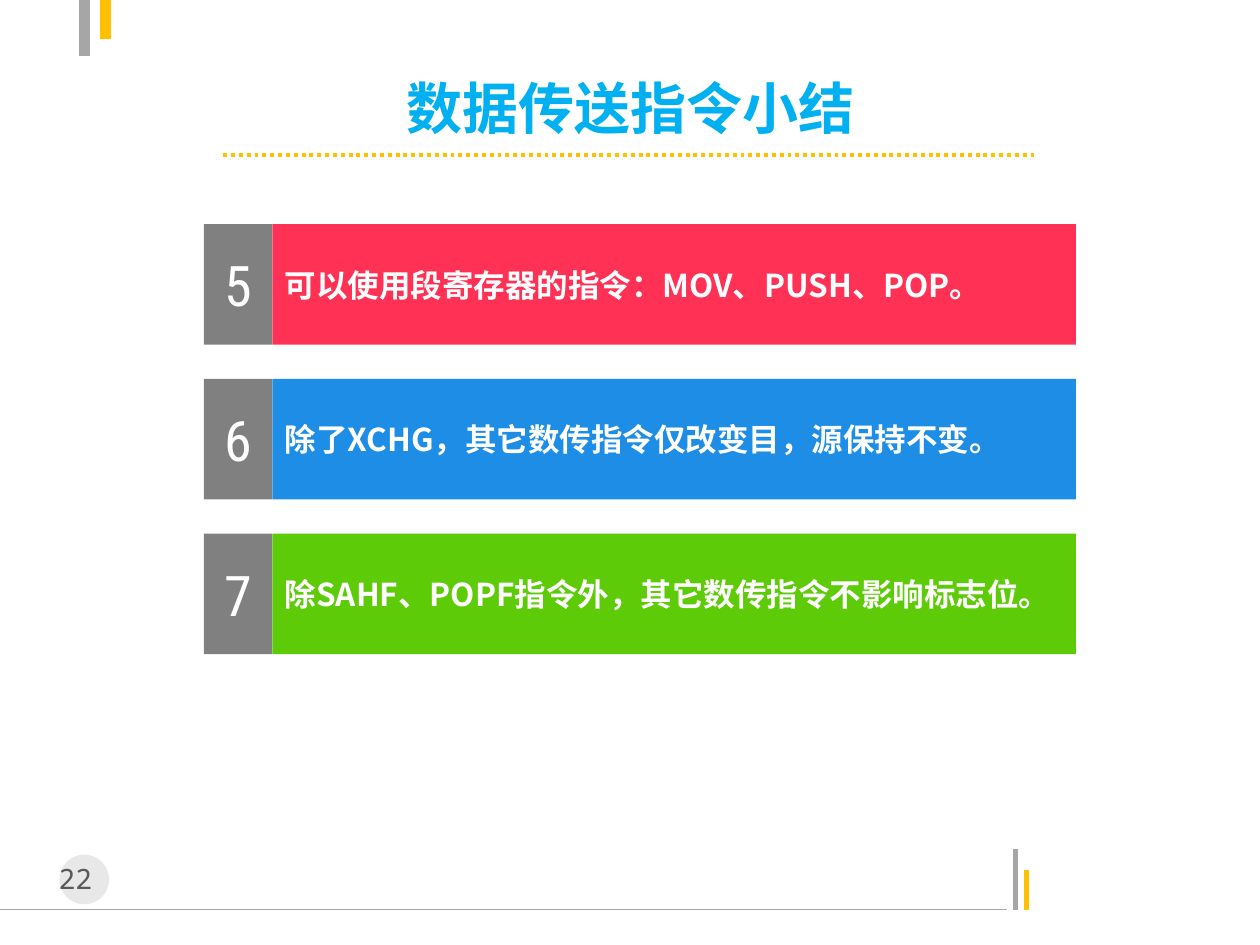
"""Build the summary slide on data transfer instructions."""
from lxml.etree import SubElement as Sub
from pptx import Presentation
from pptx.dml.color import RGBColor
from pptx.enum.dml import MSO_LINE
from pptx.enum.shapes import MSO_CONNECTOR, MSO_SHAPE
from pptx.enum.text import MSO_ANCHOR, PP_ALIGN
from pptx.oxml.ns import qn
from pptx.util import Cm, Pt

WHITE = RGBColor(0xFF, 0xFF, 0xFF)
GRAY = RGBColor(0x80, 0x80, 0x80)
SILVER = RGBColor(0xA6, 0xA6, 0xA6)
PALE = RGBColor(0xBF, 0xBF, 0xBF)
DARK = RGBColor(0x59, 0x59, 0x59)
GOLD = RGBColor(0xFF, 0xC0, 0x00)
SKY = RGBColor(0x00, 0xB0, 0xF0)
RED = RGBColor(0xFF, 0x32, 0x55)
BLUE = RGBColor(0x1D, 0x8D, 0xE5)
GREEN = RGBColor(0x5D, 0xCB, 0x08)

SANS = "Noto Sans CJK SC"
MONO = "Noto Sans Mono"
THIN = "Roboto Condensed"

RULES = [
    (0, 18.34, 20.29, 18.34, SILVER, 0.75),
    (20.47, 18.34, 20.47, 17.12, SILVER, 3),
    (20.7, 18.34, 20.7, 17.53, GOLD, 3),
    (1.7, 1.12, 1.7, -0.08, SILVER, 6),
    (2.13, 0, 2.13, 0.79, GOLD, 6),
]
ROWS = [
    ("5", "可以使用段寄存器的指令：MOV、PUSH、POP。", RED),
    ("6", "除了XCHG，其它数传指令仅改变目，源保持不变。", BLUE),
    ("7", "除SAHF、POPF指令外，其它数传指令不影响标志位。", GREEN),
]
TOP, PITCH, HIGH = 4.52, 3.12, 2.43
LEFT, TAB, WIDE = 4.11, 1.38, 16.2


class Deck:
    """Hold the style and the current slide."""

    def __init__(self):
        self.prs = Presentation()
        self.prs.slide_width, self.prs.slide_height = Cm(25.4), Cm(19.05)
        self.slide = self.prs.slides.add_slide(self.prs.slide_layouts[5])
        self.shapes = self.slide.shapes

    def style(self, shape, text, size, face, color, bold=False,
              align=PP_ALIGN.CENTER, anchor=MSO_ANCHOR.MIDDLE, wrap=True):
        """Set and format one line of text."""
        frame = shape.text_frame
        frame.text = text
        frame.word_wrap, frame.vertical_anchor = wrap, anchor
        par = frame.paragraphs[0]
        par.alignment = align
        font = par.runs[0].font
        font.size, font.name, font.bold = Pt(size), face, bold
        font.color.rgb = color
        Sub(font._element, qn("a:ea"), typeface=face)

    def title(self, text, box):
        """Place and fill the title."""
        shape = self.shapes.title
        shape.left, shape.top, shape.width, shape.height = map(Cm, box)
        self.style(shape, text, 32, SANS, SKY, True, wrap=False)

    def label(self, text, box, size, face, color):
        """Add a text box."""
        shape = self.shapes.add_textbox(*map(Cm, box))
        self.style(shape, text, size, face, color, anchor=MSO_ANCHOR.TOP)

    def block(self, kind, box, fill, alpha=None):
        """Add a filled shape with no outline."""
        shape = self.shapes.add_shape(kind, *map(Cm, box))
        shape.shadow.inherit = False
        shape.fill.solid()
        shape.fill.fore_color.rgb = fill
        shape.line.fill.background()
        if alpha:
            tint = shape._element.spPr.find(".//" + qn("a:srgbClr"))
            Sub(tint, qn("a:alpha"), val=str(alpha * 1000))
        return shape

    def rule(self, x1, y1, x2, y2, color, width, dash=None):
        """Add a straight line."""
        line = self.shapes.add_connector(
            MSO_CONNECTOR.STRAIGHT, *map(Cm, (x1, y1, x2, y2)))
        line.line.color.rgb = color
        line.line.width = Pt(width)
        if dash:
            line.line.dash_style = dash
        Sub(line._element.spPr, qn("a:effectLst"))

    def row(self, top, mark, text, fill):
        """Add a numbered bar."""
        bar = self.block(MSO_SHAPE.RECTANGLE,
                         (LEFT + TAB, top, WIDE, HIGH), fill)
        self.style(bar, text, 18, SANS, WHITE, True, PP_ALIGN.LEFT)
        tab = self.block(MSO_SHAPE.RECTANGLE, (LEFT, top, TAB, HIGH), GRAY)
        self.style(tab, mark, 32, THIN, WHITE)


def main():
    """Build and save the slide."""
    deck = Deck()
    for rule in RULES:
        deck.rule(*rule)
    deck.block(MSO_SHAPE.OVAL, (1.2, 17.23, 1, 1), PALE, 35)
    deck.label("22 ", (0.79, 17.25, 1.8, 0.94), 16, MONO, DARK)
    for num, row in enumerate(ROWS):
        deck.row(TOP + num * PITCH, *row)
    deck.title("数据传送指令小结", (3.5, 1.52, 18.42, 1.27))
    deck.rule(4.5, 3.13, 20.9, 3.13, GOLD, 2.25, MSO_LINE.ROUND_DOT)
    deck.prs.save("out.pptx")


if __name__ == "__main__":
    main()
